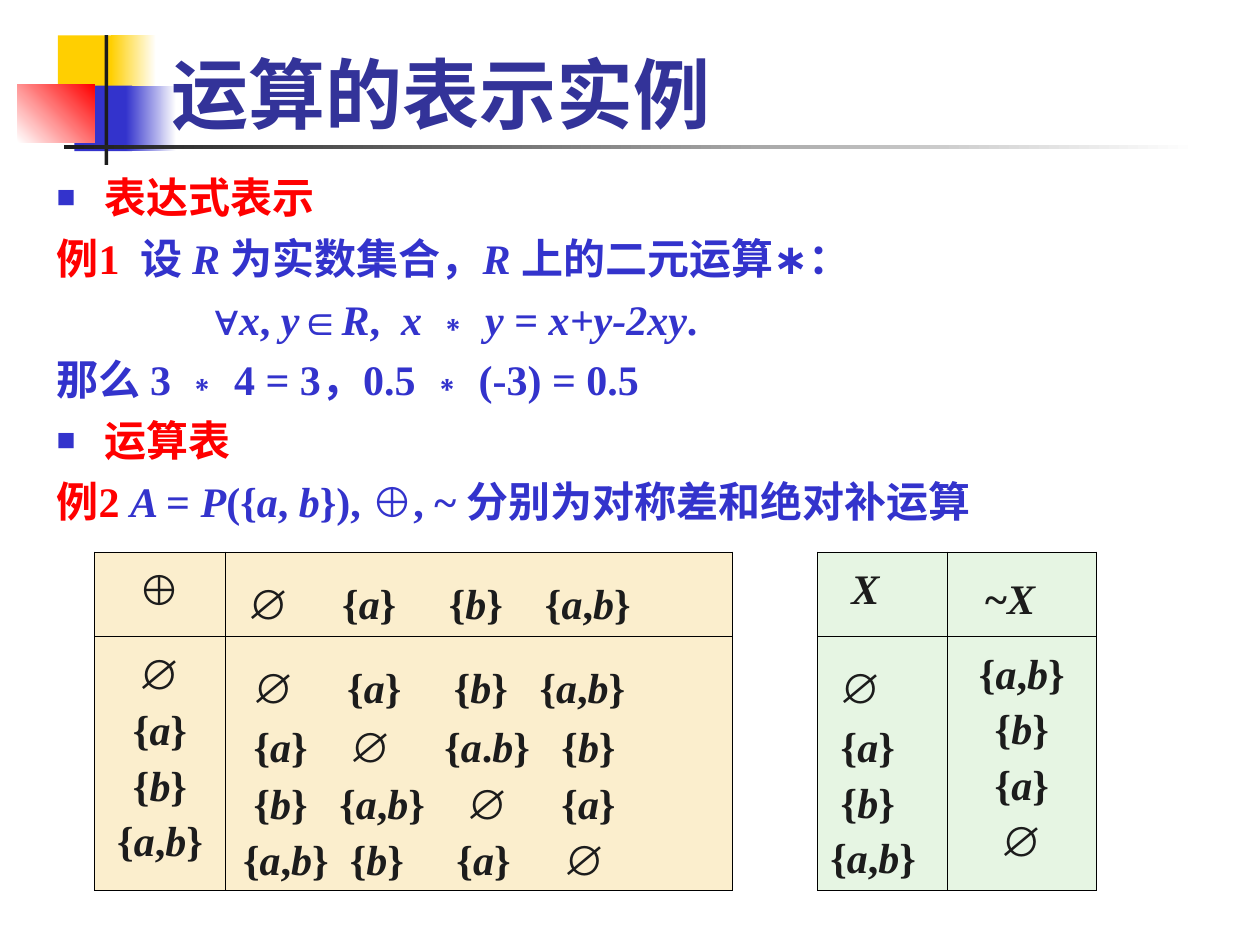
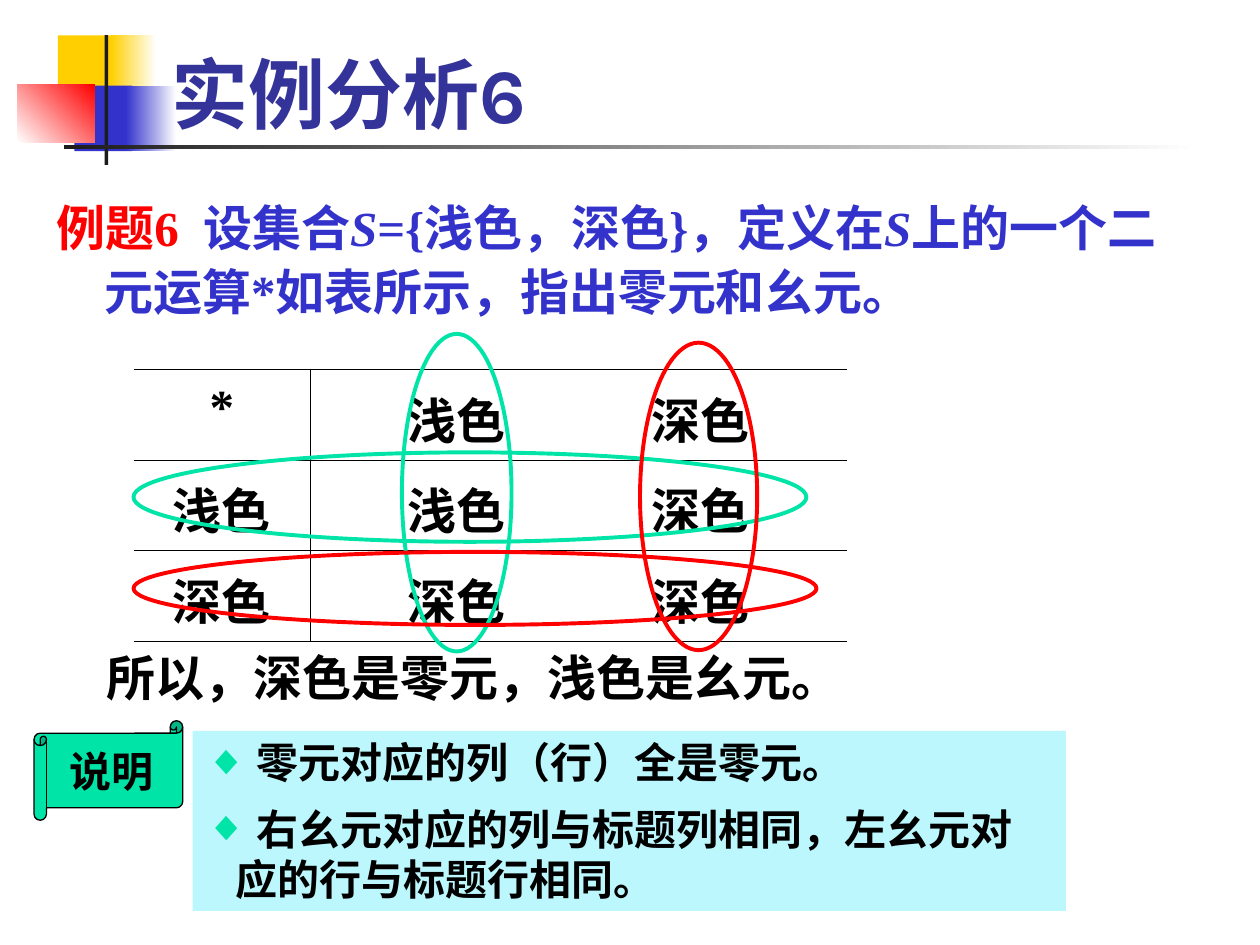
from itertools import groupby

from lxml import etree
from pptx import Presentation
from pptx import util as u
from pptx.dml.color import RGBColor
from pptx.enum import shapes, text
from pptx.oxml.ns import qn

Inches, Pt = u.Inches, u.Pt
BLUE, NAVY, RED, INK, BLACK = "3333CC", "333399", "FF0000", "1C1C1C", "000000"
GOLD, WHITE, GREEN, CYAN = "FFCF01", "FFFFFF", "00E4A8", "BBF7FD"
CREAM, MINT = "FBEECD", "E6F5E3"
SERIF, SANS, SYMBOL, CJK, MONO = "Times New Roman", "Karla", "Arial", "Noto Sans CJK SC", "Noto Sans Mono"
LEFT, CENTER = text.PP_ALIGN.LEFT, text.PP_ALIGN.CENTER
GAP = "›"


def rgb(value):
    return RGBColor.from_string(value)


def write(frame, markup, size, color, font=SERIF, align=LEFT, spacing=None, before=0,
          indent=0, hanging=0, bullet=None):
    """Underscores enclose italics, a bar ends the red lead, gap marks widen one space."""
    paragraph = frame.paragraphs[0]
    if paragraph.runs:
        paragraph = frame.add_paragraph()
        paragraph.space_before = Pt(before)
    paragraph.alignment = align
    if spacing:
        paragraph.line_spacing = spacing
    properties = paragraph._p.get_or_add_pPr()
    properties.set("marL", str(Inches(indent)))
    properties.set("indent", str(-Inches(hanging)))
    if bullet:
        sign, sign_color, percent = bullet
        bullet_color = etree.SubElement(properties, qn("a:buClr"))
        etree.SubElement(bullet_color, qn("a:srgbClr"), val=sign_color)
        etree.SubElement(properties, qn("a:buSzPct"), val=str(percent * 1000))
        etree.SubElement(properties, qn("a:buFont"), typeface=SYMBOL)
        etree.SubElement(properties, qn("a:buChar"), char=sign)
    paragraph.font.size, paragraph.font.bold, paragraph.font.name = Pt(size), True, font
    paragraph.font.color.rgb = rgb(color)
    lead, bar, rest = markup.rpartition("|")
    for part, is_lead in ((lead, True), (rest, False)):
        for number, piece in enumerate(part.split("_")):
            for kind, group in groupby(piece, lambda c: "symbol" if c in "∀⊕∅" else c == GAP):
                letters = "".join(group)
                run = paragraph.add_run()
                run.text = " " if GAP in letters else letters
                if number % 2:
                    run.font.italic = True
                if kind == "symbol":
                    run.font.name = SYMBOL
                if is_lead:
                    run.font.color.rgb = rgb(RED)
                if GAP in letters and len(letters) > 1:
                    run._r.get_or_add_rPr().set("spc", str((len(letters) - 1) * size * 25))


presentation = Presentation()
presentation.slide_width, presentation.slide_height = Inches(10), Inches(7.5)

decorations = [
    (0.46, 0.28, 0.48, 0.52, [GOLD], 0),
    (0.88, 0.28, 0.36, 0.52, [GOLD, WHITE], 0),
    (0.59, 0.68, 0.46, 0.52, [BLUE], 0),
    (1, 0.68, 0.4, 0.52, [BLUE, WHITE], 0),
    (0.14, 0.67, 0.61, 0.46, [WHITE, RED], 45),
    (0.83, 0.28, 0.03, 1.03, [INK], 0),
    (0.51, 1.15, 9, 0.03, [INK, WHITE], 0),
]
slides, bodies = [], []
for title, body_top, body_height in [("运算的表示实例", 1.31, 3), ("实例分析6", 1.47, 1.42)]:
    slide = presentation.slides.add_slide(presentation.slide_layouts[6])
    for left, top, width, height, colors, angle in decorations:
        shape = slide.shapes.add_shape(shapes.MSO_SHAPE.RECTANGLE, Inches(left), Inches(top),
                                       Inches(width), Inches(height))
        shape.shadow.inherit = False
        shape.line.fill.background()
        if len(colors) == 1:
            shape.fill.solid()
            shape.fill.fore_color.rgb = rgb(colors[0])
        else:
            shape.fill.gradient()
            shape.fill.gradient_angle = angle
            for stop, color in zip(shape.fill.gradient_stops, colors):
                stop.color.rgb = rgb(color)
    heading = slide.shapes.add_textbox(Inches(1.26), Inches(0.08), Inches(8.52), Inches(1.07)).text_frame
    heading.word_wrap = True
    heading.vertical_anchor = text.MSO_ANCHOR.BOTTOM
    write(heading, title, 44, NAVY, SANS)
    body = slide.shapes.add_textbox(Inches(0.35), Inches(body_top), Inches(9.29), Inches(body_height)).text_frame
    body.word_wrap = True
    slides.append(slide)
    bodies.append(body)

square = dict(indent=0.38, hanging=0.38, bullet=("■", BLUE, 75))
for markup, layout in [
    ("表达式表示|", square),
    ("例1››|设 _R _为实数集合，_R _上的二元运算∗：", {}),
    ("∀_x_, _y_∈_R_,››_x _∗ _y _= _x+y-2xy_.", dict(indent=1.25)),
    ("那么 3 ∗ 4 = 3，0.5 ∗ (-3) = 0.5", {}),
    ("运算表|", square),
    ("例2| _A _= _P_({_a_, _b_}), ⊕, ~ 分别为对称差和绝对补运算", {}),
]:
    write(bodies[0], markup, 24, BLUE, before=6, **layout)

write(bodies[1], "例题6››|设集合_S_={浅色，深色}，定义在_S_上的一个二元运算*如表所示，指出零元和幺元。",
      28, BLUE, spacing=1.1, indent=0.38, hanging=0.38)

subsets = ["∅", "{_a_}", "{_b_}", "{_a_,_b_}"]
products = [
    "›∅›››››{_a_}›››››{_b_}›››{_a_,_b_}",
    "›{_a_}››››∅›››››{_a_._b_}›››{_b_}",
    "›{_b_}›››{_a_,_b_}››››∅›››››{_a_}",
    "{_a_,_b_}››{_b_}›››››{_a_}›››››∅",
]
arguments = [GAP + subset for subset in subsets[:3]] + subsets[3:]
shade_rows = [("*", "浅色", "深色"), ("浅色", "浅色", "深色"), ("深色", "深色", "深色")]
tables = [
    (slides[0], 0.75, 4.38, [1.04, 4.02, 0.68, 1.03, 1.18], [0.67, 2.02],
     [[(["⊕"], CENTER, 0, None), (["›∅›››››{_a_}›››››{_b_}››››{_a_,_b_}"], LEFT, 0, CJK), None,
       (["››_X_"], LEFT, 0, None), (["›~_X_"], LEFT, 0, MONO)],
      [(subsets, CENTER, 0, None), (products, LEFT, 0.04, CJK), None,
       (arguments, LEFT, 0, CJK), (subsets[::-1], CENTER, 0, None)]],
     [CREAM, CREAM, None, MINT, MINT], ["LRTB", "LRTB", "LR", "LRTB", "LRTB"], 24, 1.2, INK),
    (slides[1], 1.06, 2.93, [1.4, 4.26], [0.72, 0.72, 0.72],
     [[([name], CENTER, 0, None), ([first + GAP * 12 + second], CENTER, 0, None)]
      for name, first, second in shade_rows],
     [None, None], ["RTB", "LTB"], 28, 1.1, BLACK),
]
for slide, left, top, widths, heights, contents, fills, sides, size, spacing, color in tables:
    table = slide.shapes.add_table(len(heights), len(widths), Inches(left), Inches(top),
                                   Inches(sum(widths)), Inches(sum(heights))).table
    table.first_row = table.horz_banding = False
    table._tbl.tblPr[0].text = "{2D5ABB26-0587-4C30-8999-92F81FD0307C}"
    for column, width in zip(table.columns, widths):
        column.width = Inches(width)
    for row, height in zip(table.rows, heights):
        row.height = Inches(height)
    for row, row_contents in enumerate(contents):
        for column, content in enumerate(row_contents):
            cell = table.cell(row, column)
            if fills[column]:
                cell.fill.solid()
                cell.fill.fore_color.rgb = rgb(fills[column])
            else:
                cell.fill.background()
            cell_properties = cell._tc.get_or_add_tcPr()
            for position, side in enumerate(sides[column]):
                border = etree.Element(qn("a:ln" + side), w=str(Pt(0.45)))
                border_fill = etree.SubElement(border, qn("a:solidFill"))
                etree.SubElement(border_fill, qn("a:srgbClr"), val=BLACK)
                cell_properties.insert(position, border)
            if content:
                lines, align, indent, gap_font = content
                for line in lines:
                    write(cell.text_frame, line, size, color, align=align, spacing=spacing, indent=indent)
                if gap_font:
                    cell.text_frame.paragraphs[0].runs[0].font.name = gap_font
    if None in contents[0]:
        divider = contents[0].index(None)
        table.cell(0, divider).merge(table.cell(len(heights) - 1, divider))

slide = slides[1]
for left, top, width, height, color in [
    (3.19, 2.65, 0.87, 2.52, GREEN), (1.06, 3.59, 5.34, 0.71, GREEN),
    (5.08, 2.72, 0.93, 2.44, RED), (1.06, 4.38, 5.42, 0.58, RED),
]:
    ring = slide.shapes.add_shape(shapes.MSO_SHAPE.OVAL, Inches(left), Inches(top), Inches(width), Inches(height))
    ring.shadow.inherit = False
    ring.fill.background()
    ring.line.color.rgb = rgb(color)
    ring.line.width = Pt(2.25)

notice = slide.shapes.add_shape(shapes.MSO_SHAPE.RECTANGLE, Inches(1.53), Inches(5.8), Inches(6.93), Inches(1.43))
notice.line.fill.background()
scroll = slide.shapes.add_shape(shapes.MSO_SHAPE.HORIZONTAL_SCROLL, Inches(0.27), Inches(5.72),
                                Inches(1.18), Inches(0.79))
scroll.line.color.rgb = rgb(BLACK)
scroll.line.width = Pt(0.75)
for shape, color in ((notice, CYAN), (scroll, GREEN)):
    shape.shadow.inherit = False
    shape.fill.solid()
    shape.fill.fore_color.rgb = rgb(color)

notice.text_frame.vertical_anchor = text.MSO_ANCHOR.TOP
notice.text_frame.margin_right = Inches(0.2)
for line in [" 零元对应的列（行）全是零元。", " 右幺元对应的列与标题列相同，左幺元对应的行与标题行相同。"]:
    write(notice.text_frame, line, 24, BLACK, before=9, indent=0.24, hanging=0.24, bullet=("◆", GREEN, 100))
scroll.text_frame.word_wrap = False
write(scroll.text_frame, "说明", 24, BLACK, SANS, CENTER)

conclusion = slide.shapes.add_textbox(Inches(0.75), Inches(5.09), Inches(8.03), Inches(0.57)).text_frame
conclusion.word_wrap = True
write(conclusion, "所以，深色是零元，浅色是幺元。", 28, BLACK, SANS)

presentation.save("out.pptx")
